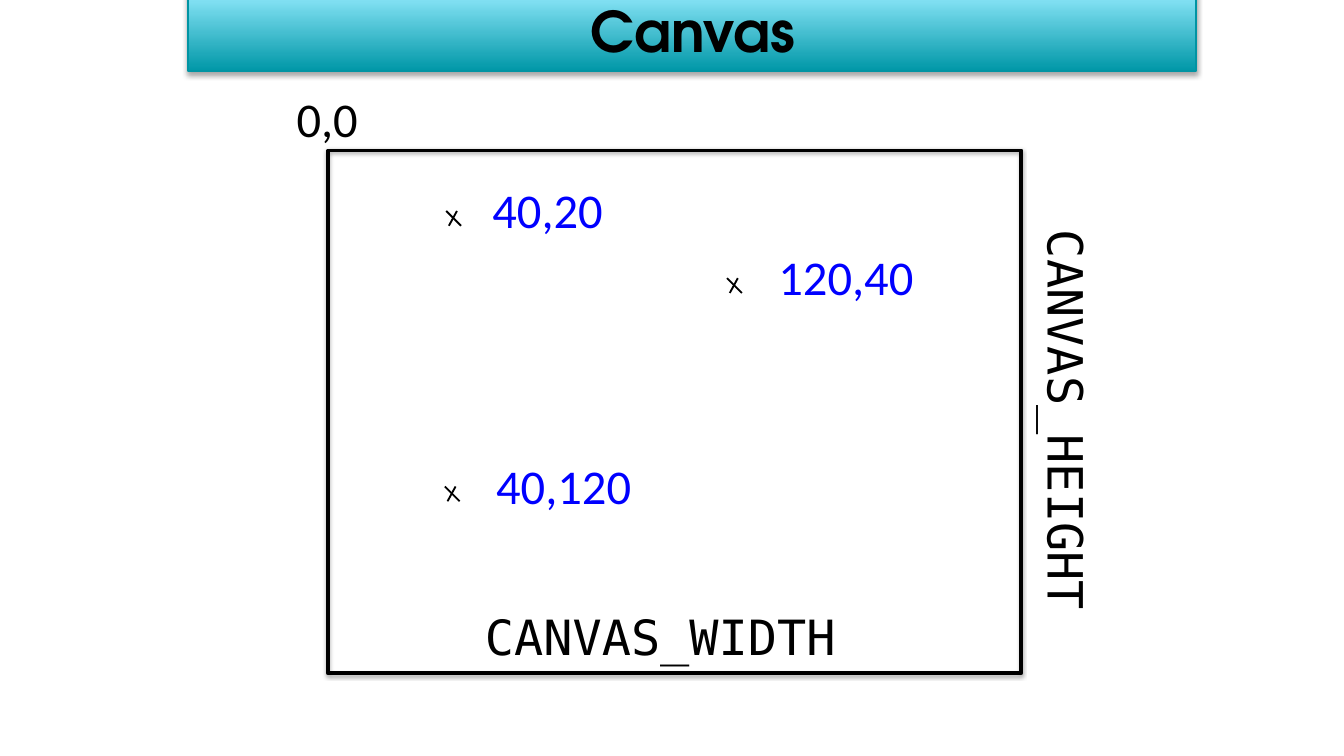
from dataclasses import dataclass

from lxml.etree import SubElement
from pptx import Presentation
from pptx.dml.color import RGBColor
from pptx.enum.shapes import MSO_CONNECTOR as Connector, MSO_SHAPE as Shape
from pptx.enum.text import MSO_ANCHOR as Anchor, MSO_AUTO_SIZE as AutoSize, PP_ALIGN as Align
from pptx.oxml.ns import qn
from pptx.util import Inches, Pt

CELL = 0.1
COLUMNS, ROWS = 100, 56.25


@dataclass(frozen=True)
class Theme:
    ink: str = "000000"
    coordinate: str = "0000FF"
    bar_bottom: str = "0097A7"
    bar_top: str = "94EBFE"
    bar_line: str = "0094A3"
    body_font: str = "Calibri"
    code_font: str = "DejaVu Sans Mono"
    title_font: str = "TeX Gyre Adventor"
    body_size: int = 26
    title_size: int = 30
    shadow_opacity: int = 35


THEME = Theme()


def grid(*cells):
    return [Inches(cell * CELL) for cell in cells]


def rgb(value):
    return RGBColor.from_string(value)


def set_line(shape, color, width):
    shape.line.color.rgb = rgb(color)
    shape.line.width = Pt(width)


def add_shadow(shape, blur, distance):
    effects = shape._element.spPr.find(qn("a:effectLst"))
    shadow = SubElement(effects, qn("a:outerShdw"), blurRad=str(Pt(blur)),
                        dist=str(Pt(distance)), dir="5400000", rotWithShape="0")
    color = SubElement(shadow, qn("a:srgbClr"), val=THEME.ink)
    SubElement(color, qn("a:alpha"), val=str(THEME.shadow_opacity * 1000))


def add_box(shapes, cells, line_color, line_width, blur, distance):
    box = shapes.add_shape(Shape.RECTANGLE, *grid(*cells))
    box.fill.background()
    set_line(box, line_color, line_width)
    box.shadow.inherit = False
    add_shadow(box, blur, distance)
    return box


def add_label(shapes, text, cells, font=THEME.body_font, color=THEME.ink,
              size=THEME.body_size, bold=False):
    label = shapes.add_textbox(*grid(*cells))
    frame = label.text_frame
    frame.text = text
    frame.word_wrap = True
    frame.auto_size = AutoSize.SHAPE_TO_FIT_TEXT
    frame.margin_left = frame.margin_right = Inches(0.04)
    frame.margin_top = frame.margin_bottom = Inches(0.04)
    paragraph = frame.paragraphs[0]
    paragraph.alignment = Align.CENTER
    for run in paragraph.runs:
        run.font.name = font
        run.font.size = Pt(size)
        run.font.bold = bold
        run.font.color.rgb = rgb(color)
    return label


def add_stroke(shapes, *cells):
    stroke = shapes.add_connector(Connector.STRAIGHT, *grid(*cells))
    set_line(stroke, THEME.ink, 1)
    SubElement(stroke._element.spPr, qn("a:effectLst"))


def add_point(slide, text, column, row, label_gap):
    shapes = slide.shapes.add_group_shape().shapes
    add_stroke(shapes, column, row, column + 1.1, row + 1.1)
    add_stroke(shapes, column + 0.8, row, column + 0.2, row + 1.1)
    add_label(shapes, text, (column + label_gap, row - 2.7, 11.5, 4.5),
              color=THEME.coordinate)


def add_title(slide, text):
    shapes = slide.shapes.add_group_shape().shapes
    bar = add_box(shapes, (14, -0.8, 75, 6.1), THEME.bar_line, 0.75, 3, 1.8)
    bar.fill.gradient()
    bar.fill.gradient_angle = 90
    colors = (THEME.bar_bottom, THEME.bar_top)
    for stop, color, position in zip(bar.fill.gradient_stops, colors, (0, 1)):
        stop.color.rgb = rgb(color)
        stop.position = position
    label = add_label(shapes, text, (14.4, -0.8, 74.3, 6.1), THEME.title_font,
                      size=THEME.title_size, bold=True)
    label.text_frame.auto_size = AutoSize.NONE
    label.text_frame.vertical_anchor = Anchor.MIDDLE


def main():
    presentation = Presentation()
    presentation.slide_width, presentation.slide_height = grid(COLUMNS, ROWS)
    slide = presentation.slides.add_slide(presentation.slide_layouts[6])
    shapes = slide.shapes

    add_box(shapes, (24.4, 11.2, 51.6, 38.9), THEME.ink, 2, 2, 1)
    add_label(shapes, "0,0", (21.2, 6.2, 6.3, 4.5))
    height_label = add_label(shapes, "CANVAS_HEIGHT", (64.2, 28.7, 30.4, 5.1), THEME.code_font)
    height_label.rotation = 90
    add_label(shapes, "CANVAS_WIDTH", (33.5, 44.8, 31.3, 5.1), THEME.code_font)

    points = (
        ("40,20", 33.2, 15.7, 1.8),
        ("40,120", 33.1, 36.2, 3.1),
        ("120,40", 54.1, 20.7, 3.1),
    )
    for point in points:
        add_point(slide, *point)

    add_title(slide, "Canvas")
    presentation.save("out.pptx")


if __name__ == "__main__":
    main()
